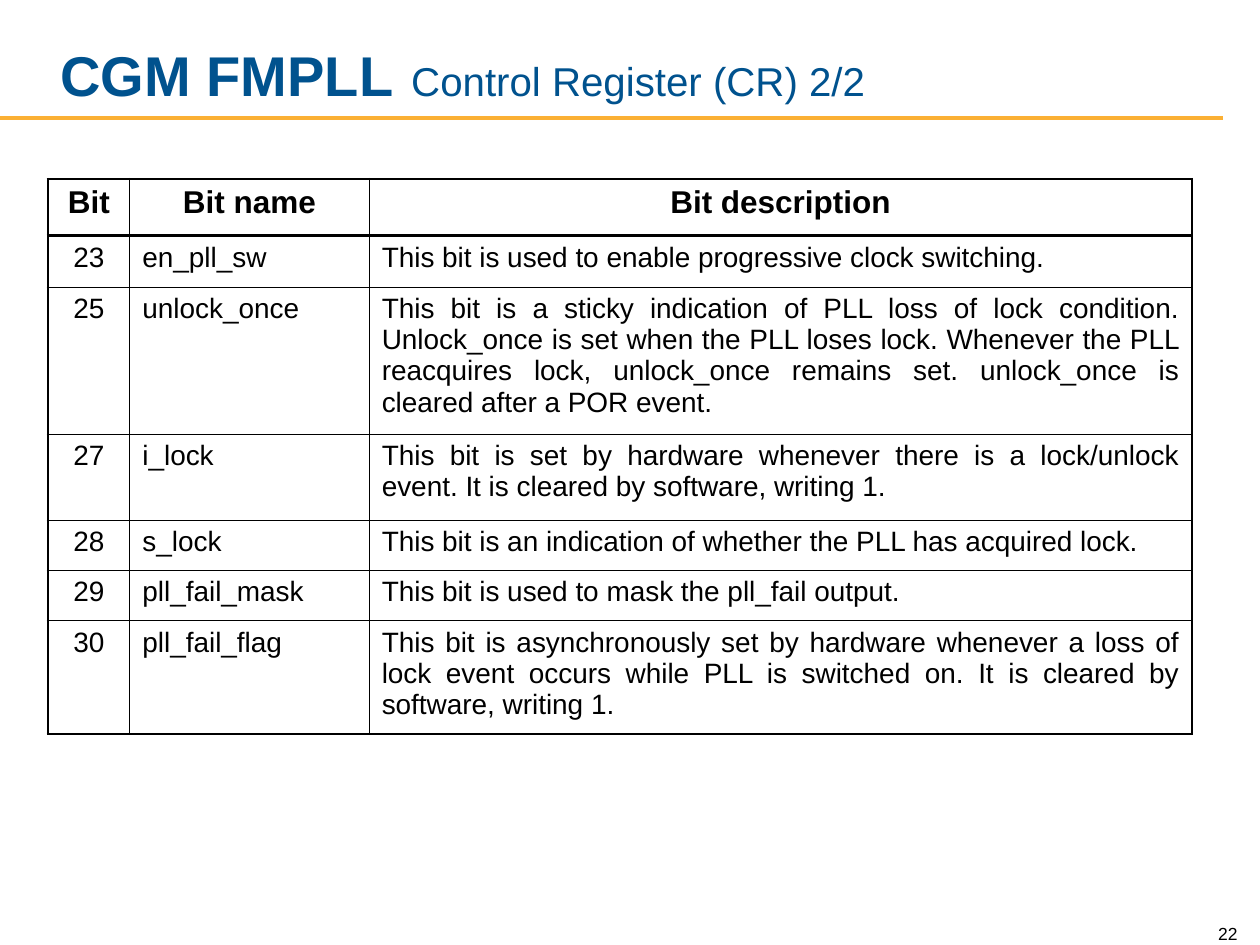
from lxml import etree
from pptx import Presentation
from pptx import util as u
from pptx.dml.color import RGBColor
from pptx.enum import shapes, text
from pptx.oxml import ns

BLUE = RGBColor(0x00, 0x52, 0x8E)
GOLD = RGBColor(0xFB, 0xB0, 0x34)
BLACK = RGBColor(0x00, 0x00, 0x00)
FONT = "Arial"
THICK, THIN = 1.5, 0.5

COL_WIDTHS = [0.65, 1.9, 6.53]
ROW_HEIGHTS = [0.45, 0.41, 1.13, 0.68, 0.4, 0.4, 0.87]
HEADER = ("Bit", "Bit name", "Bit description")
BITS = [
    ("23", "en_pll_sw", "This bit is used to enable progressive clock switching."),
    ("25", "unlock_once",
     "This bit is a sticky indication of PLL loss of lock condition. "
     "Unlock_once is set when the PLL loses lock. Whenever the PLL reacquires "
     "lock, unlock_once remains set. unlock_once is cleared after a POR event."),
    ("27", "i_lock",
     "This bit is set by hardware whenever there is a lock/unlock event. "
     "It is cleared by software, writing 1."),
    ("28", "s_lock", "This bit is an indication of whether the PLL has acquired lock."),
    ("29", "pll_fail_mask", "This bit is used to mask the pll_fail output."),
    ("30", "pll_fail_flag",
     "This bit is asynchronously set by hardware whenever a loss of lock event "
     "occurs while PLL is switched on. It is cleared by software, writing 1."),
]


def add_text(p, words, size=16, bold=False, color=BLACK, align=text.PP_ALIGN.LEFT):
    """Append a formatted run to a paragraph."""
    p.alignment = align
    r = p.add_run()
    r.text = words
    r.font.name = FONT
    r.font.size = u.Pt(size)
    r.font.bold = bold
    r.font.color.rgb = color


def add_title(s):
    """Fill the title placeholder with a large name and a smaller subtitle."""
    sp = s.shapes.title
    sp.left, sp.top = u.Inches(0.38), u.Inches(0.17)
    sp.width, sp.height = u.Inches(8.17), u.Inches(0.75)
    tf = sp.text_frame
    tf.auto_size = text.MSO_AUTO_SIZE.NONE
    tf.vertical_anchor = text.MSO_ANCHOR.BOTTOM
    p = tf.paragraphs[0]
    add_text(p, "CGM FMPLL", size=32, bold=True, color=BLUE)
    add_text(p, " ", size=36, bold=True, color=BLUE)
    add_text(p, "Control Register (CR) 2/2", size=23, color=BLUE)


def add_rule(s):
    """Draw the gold line below the title."""
    y = u.Inches(0.94)
    sp = s.shapes.add_connector(shapes.MSO_CONNECTOR.STRAIGHT, 0, y, u.Inches(9.71), y)
    sp.line.color.rgb = GOLD
    sp.line.width = u.Pt(2.25)
    etree.SubElement(sp._element.spPr, ns.qn("a:effectLst"))


def add_page_number(s, number):
    """Place the page number in the bottom right corner."""
    sp = s.shapes.add_textbox(u.Inches(9.42), u.Inches(7.24), u.Inches(0.5), u.Inches(0.3))
    tf = sp.text_frame
    tf.word_wrap = True
    tf.vertical_anchor = text.MSO_ANCHOR.BOTTOM
    add_text(tf.paragraphs[0], number, size=10, align=text.PP_ALIGN.RIGHT)


def set_borders(cell, **widths):
    """Set black cell borders, given as widths in points for L, R, T and B."""
    tc_pr = cell._tc.get_or_add_tcPr()
    for i, side in enumerate("LRTB"):
        ln = etree.Element(ns.qn(f"a:ln{side}"), w=str(u.Pt(widths[side])))
        fill = etree.SubElement(ln, ns.qn("a:solidFill"))
        etree.SubElement(fill, ns.qn("a:srgbClr"), val=str(BLACK))
        tc_pr.insert(i, ln)


def add_bit_table(s):
    """Build the register table with a heavy frame and a heavy header rule."""
    rows = [HEADER] + BITS
    table = s.shapes.add_table(
        len(rows), len(HEADER), u.Inches(0.38), u.Inches(1.42),
        u.Inches(sum(COL_WIDTHS)), u.Inches(sum(ROW_HEIGHTS))).table
    for column, width in zip(table.columns, COL_WIDTHS):
        column.width = u.Inches(width)
    for row, height in zip(table.rows, ROW_HEIGHTS):
        row.height = u.Inches(height)
    aligns = [text.PP_ALIGN.CENTER, text.PP_ALIGN.LEFT, text.PP_ALIGN.JUSTIFY]
    last_row, last_col = len(rows) - 1, len(HEADER) - 1
    for i, row in enumerate(rows):
        for j, words in enumerate(row):
            cell = table.cell(i, j)
            cell.fill.background()
            set_borders(cell,
                        L=THICK if j == 0 else THIN,
                        R=THICK if j == last_col else THIN,
                        T=THICK if i <= 1 else THIN,
                        B=THICK if i in (0, last_row) else THIN)
            p = cell.text_frame.paragraphs[0]
            if i == 0:
                add_text(p, words, size=18, bold=True, align=text.PP_ALIGN.CENTER)
            else:
                add_text(p, words, align=aligns[j])


def main():
    """Build the slide and save it."""
    prs = Presentation()
    prs.slide_width, prs.slide_height = u.Inches(10), u.Inches(7.5)
    s = prs.slides.add_slide(prs.slide_layouts[5])
    add_rule(s)
    add_page_number(s, "22")
    add_title(s)
    add_bit_table(s)
    prs.save("out.pptx")


if __name__ == "__main__":
    main()
